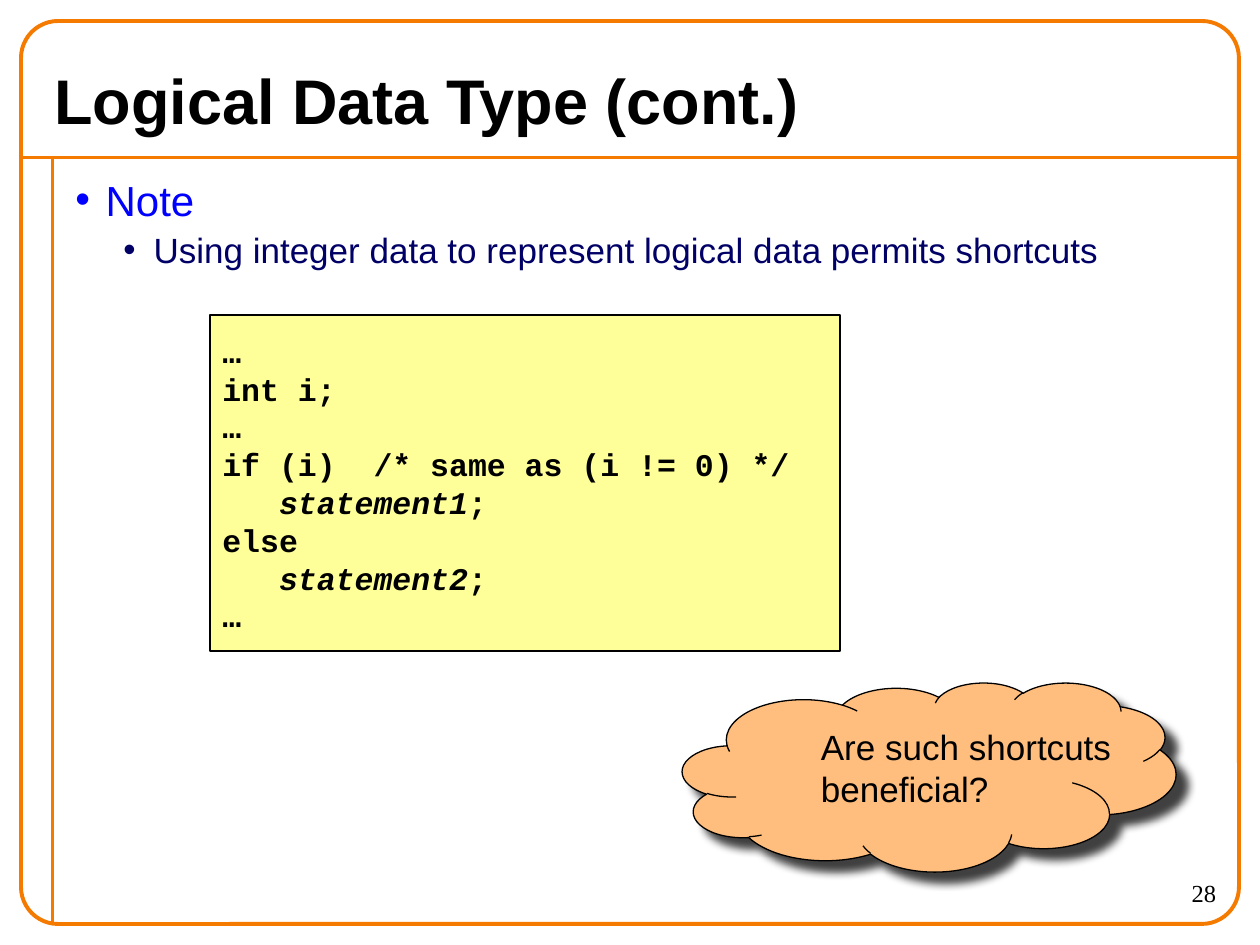
from lxml import etree
from pptx import Presentation
from pptx import util as u
from pptx.dml.color import RGBColor
from pptx.enum import shapes, text
from pptx.oxml import parse_xml
from pptx.oxml.ns import nsdecls, qn

COLORS = {
    "frame": "F47A00", "ink": "000000", "note": "0000FF", "detail": "000066",
    "code": "FFFF99", "cloud": "FFBE7D",
}
TITLE = {"name": "Arial", "size": u.Pt(36), "bold": True}
NOTE = {"name": "Arial", "size": u.Pt(24)}
DETAIL = {"name": "Arial", "size": u.Pt(20)}
CODE = {"name": "Courier New", "size": u.Pt(18), "bold": True}
NUMBER = {"name": "Times New Roman", "size": u.Pt(14)}
CODE_INDENT = 32.4
CODE_LINES = [
    (0, ["…"]),
    (0, ["int i;"]),
    (0, ["…"]),
    (0, ["if (i)  /* same as (i != 0) */"]),
    (CODE_INDENT, ["statement1", ";"]),
    (0, ["else"]),
    (CODE_INDENT, ["statement2", ";"]),
    (0, ["…"]),
]


def rgb(color):
    return RGBColor.from_string(COLORS[color])


def points(*lengths):
    return [u.Pt(length) for length in lengths]


def add_run(paragraph, words, font, color="ink", **extra):
    run = paragraph.add_run()
    run.text = words
    for key, value in {**font, **extra}.items():
        setattr(run.font, key, value)
    run.font.color.rgb = rgb(color)


def set_frame(frame, anchor=text.MSO_ANCHOR.TOP):
    margins = dict(zip(("margin_left", "margin_top", "margin_right", "margin_bottom"),
                       points(7.2, 3.6, 7.2, 3.6)))
    for key, value in {"word_wrap": True, "vertical_anchor": anchor, **margins}.items():
        setattr(frame, key, value)
    return frame


def add_text(slide, box, lines, font, anchor=text.MSO_ANCHOR.TOP, align=text.PP_ALIGN.LEFT):
    frame = set_frame(slide.shapes.add_textbox(*points(*box)).text_frame, anchor)
    for index, line in enumerate(lines):
        paragraph = frame.add_paragraph() if index else frame.paragraphs[0]
        paragraph.alignment = align
        add_run(paragraph, line, font)


def add_shape(slide, kind, box, fill, line, width):
    shape = slide.shapes.add_shape(kind, *points(*box))
    shape.shadow.inherit = False
    if fill:
        shape.fill.solid()
        shape.fill.fore_color.rgb = rgb(fill)
    else:
        shape.fill.background()
    shape.line.color.rgb = rgb(line)
    shape.line.width = u.Pt(width)
    return shape


def add_rule(slide, *ends):
    rule = slide.shapes.add_connector(shapes.MSO_CONNECTOR.STRAIGHT, *points(*ends))
    rule.line.color.rgb = rgb("frame")
    rule.line.width = u.Pt(2.24)
    etree.SubElement(rule._element.spPr, qn("a:effectLst"))


def add_bullet(paragraph, words, font, color, level, left, before):
    paragraph.level = level
    paragraph.space_before = u.Pt(before)
    props = paragraph._p.get_or_add_pPr()
    props.set("marL", str(u.Pt(left)))
    props.set("indent", str(-u.Pt(17.28)))
    tint = etree.SubElement(props, qn("a:buClr"))
    etree.SubElement(tint, qn("a:srgbClr"), val=COLORS[color])
    etree.SubElement(props, qn("a:buFont"), typeface="Arial")
    etree.SubElement(props, qn("a:buChar"), char="•")
    add_run(paragraph, words, font, color)


def add_notes_list(slide):
    frame = set_frame(slide.shapes.add_textbox(*points(36, 96, 666, 432)).text_frame)
    add_bullet(frame.paragraphs[0], "Note", NOTE, "note", 0, 17.28, 12)
    add_bullet(frame.add_paragraph(),
               "Using integer data to represent logical data permits shortcuts",
               DETAIL, "detail", 1, 44.64, 2)


def add_code(slide):
    panel = add_shape(slide, shapes.MSO_SHAPE.RECTANGLE, (120, 180, 360, 192),
                      "code", "ink", 0.74)
    frame = set_frame(panel.text_frame, text.MSO_ANCHOR.MIDDLE)
    for index, (indent, parts) in enumerate(CODE_LINES):
        paragraph = frame.add_paragraph() if index else frame.paragraphs[0]
        paragraph.alignment = text.PP_ALIGN.LEFT
        paragraph._p.get_or_add_pPr().set("marL", str(u.Pt(indent)))
        for part in parts:
            add_run(paragraph, part, CODE, italic=part.startswith("statement"))


def add_question(slide):
    cloud = add_shape(slide, shapes.MSO_SHAPE.CLOUD, (390, 390, 282, 108),
                      "cloud", "ink", 0.74)
    props = cloud._element.spPr
    props.remove(props.find(qn("a:effectLst")))
    props.append(parse_xml(
        f'<a:effectLst {nsdecls("a")}><a:outerShdw blurRad="{u.Pt(5)}" dist="{u.Pt(8.5)}" '
        f'dir="2700000" algn="ctr" rotWithShape="0"><a:srgbClr val="{COLORS["ink"]}">'
        '<a:alpha val="75000"/></a:srgbClr></a:outerShdw></a:effectLst>'))
    add_text(slide, (462, 411, 190, 56), ["Are such shortcuts", "beneficial?"], DETAIL)


def main():
    deck = Presentation()
    deck.slide_width, deck.slide_height = points(720, 540)
    slide = deck.slides.add_slide(deck.slide_layouts[6])
    add_rule(slide, 12, 90, 708, 90)
    add_rule(slide, 30, 90, 30, 528)
    border = add_shape(slide, shapes.MSO_SHAPE.ROUNDED_RECTANGLE, (12, 12, 696, 516),
                       None, "frame", 2.24)
    border.adjustments[0] = 0.041
    add_text(slide, (630, 498, 72, 30), ["28"], NUMBER, align=text.PP_ALIGN.RIGHT)
    add_text(slide, (24, 30, 672, 54), ["Logical Data Type (cont.)"], TITLE,
             anchor=text.MSO_ANCHOR.MIDDLE)
    add_notes_list(slide)
    add_code(slide)
    add_question(slide)
    deck.save("out.pptx")


main()
